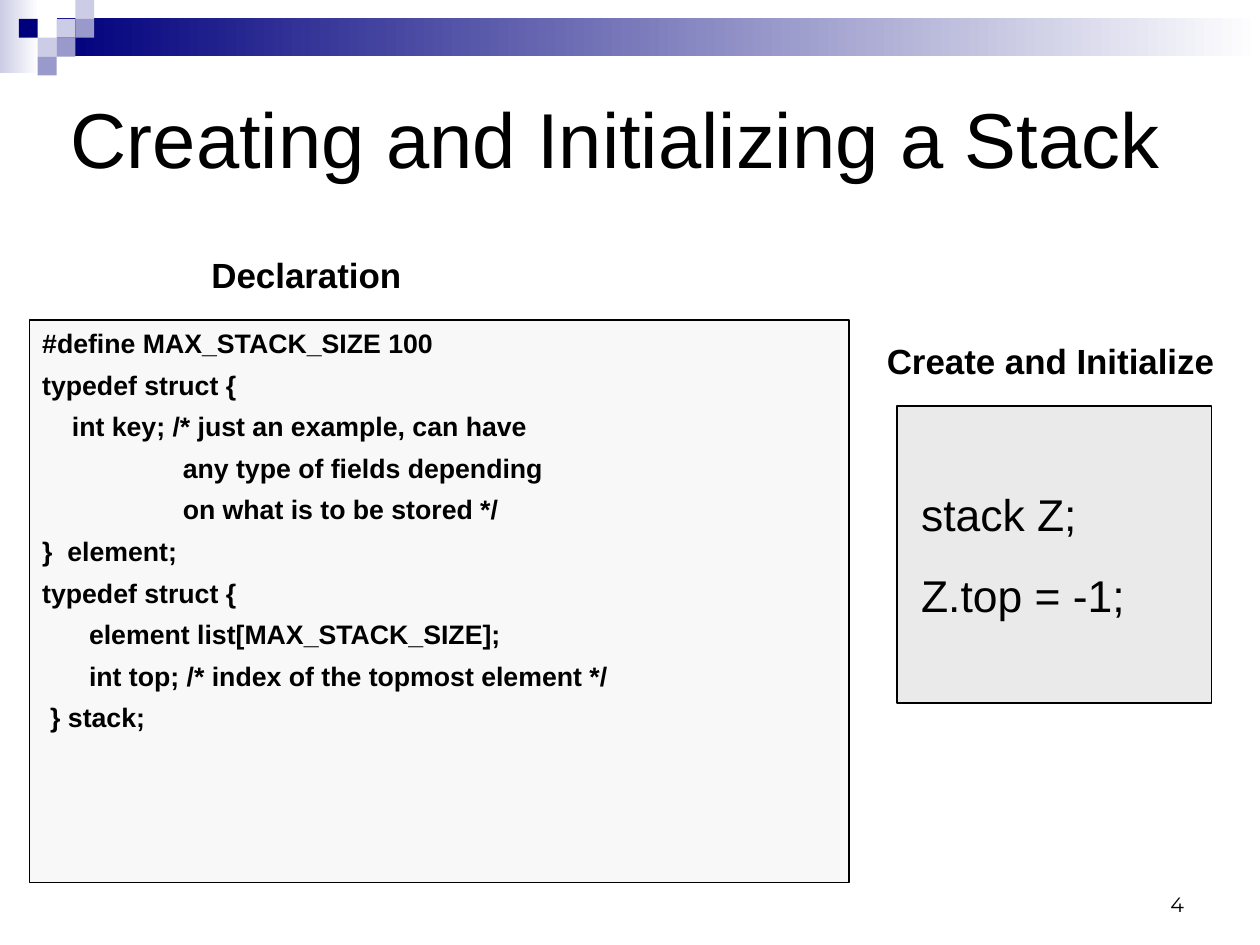
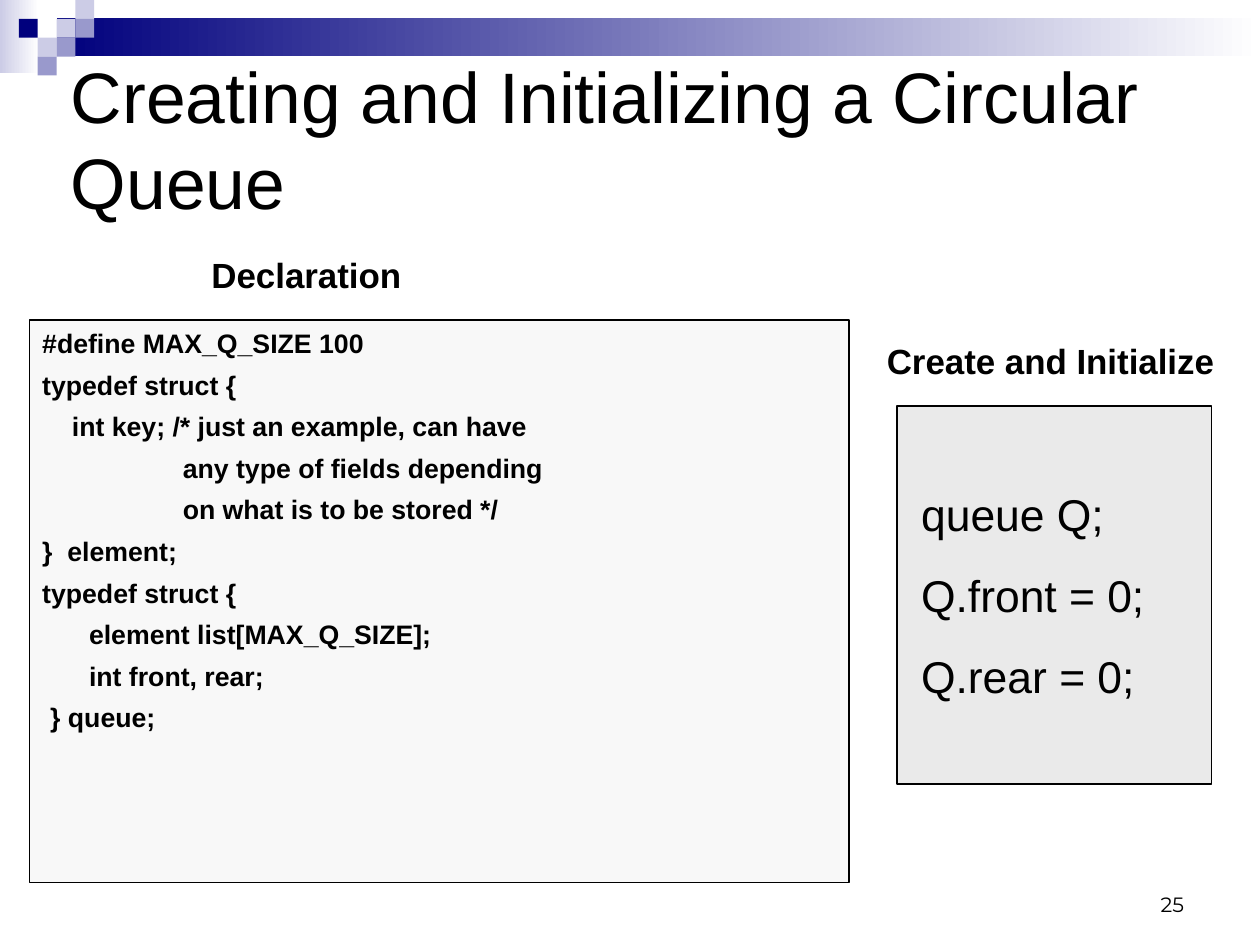
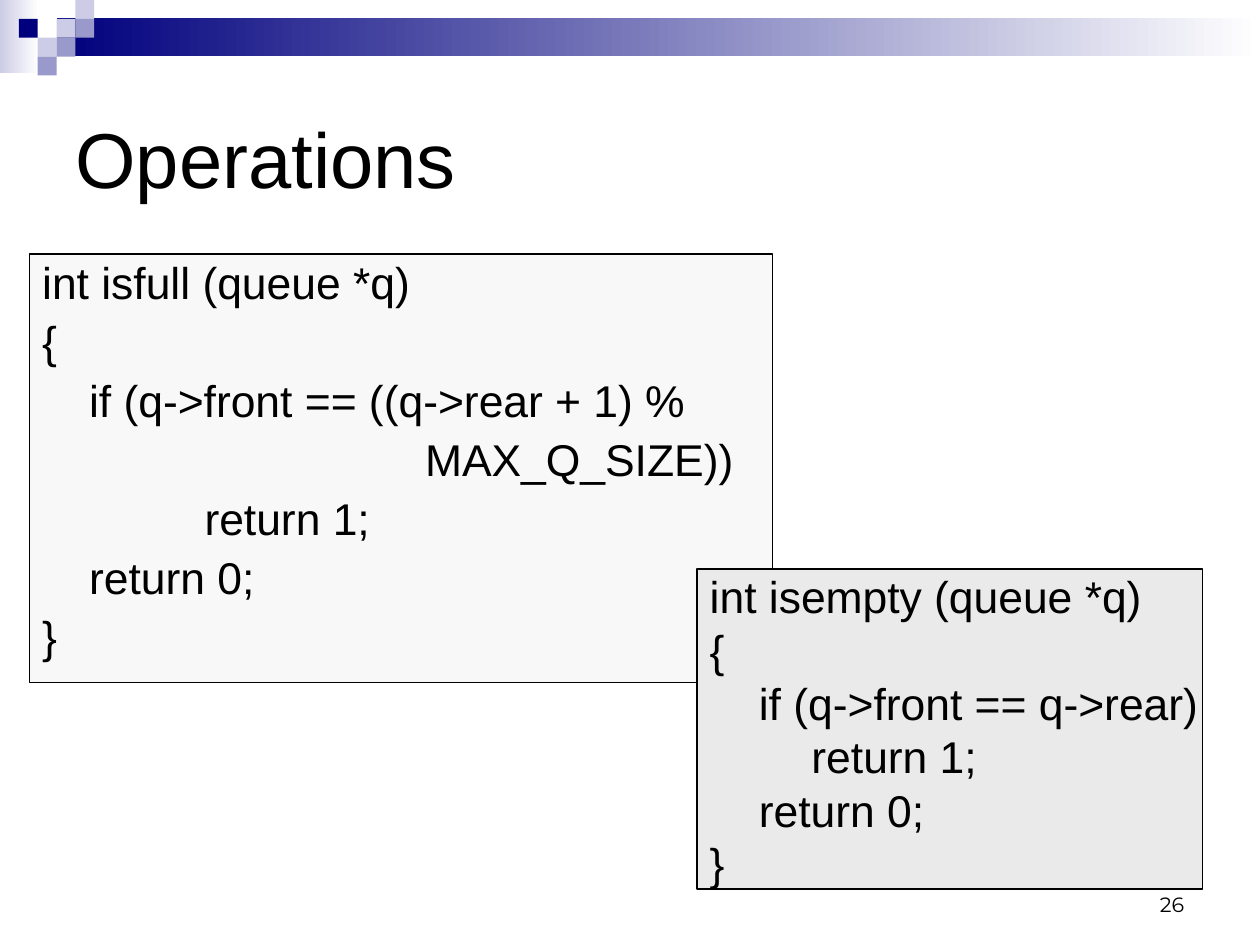
"""Three slides on stack and queue code, with a shared header band."""
import pptx
import pptx.dml.color
import pptx.enum.shapes
import pptx.enum.text
import pptx.util

Inches, Pt = pptx.util.Inches, pptx.util.Pt
RECTANGLE = pptx.enum.shapes.MSO_SHAPE.RECTANGLE
ALIGN = pptx.enum.text.PP_ALIGN
ANCHOR = pptx.enum.text.MSO_ANCHOR

BLACK, WHITE, NAVY = "000000", "FFFFFF", "00007D"
LILAC, VIOLET = "CCCCE6", "9999CC"
PALE, GREY = "F8F8F8", "EAEAEA"


def rgb(color):
    return pptx.dml.color.RGBColor.from_string(color)


def add_text(s, at, lines, size, fill=None, bold=False, font="Arial", left=0, top=0,
             before=0, spacing=1.0, align=ALIGN.LEFT, anchor=ANCHOR.TOP):
    at = [Inches(v) for v in at]
    if fill:
        sp = s.shapes.add_shape(RECTANGLE, *at)
        sp.shadow.inherit = False
        sp.fill.solid()
        sp.fill.fore_color.rgb = rgb(fill)
        sp.line.color.rgb = rgb(BLACK)
        sp.line.width = Pt(1)
    else:
        sp = s.shapes.add_textbox(*at)
    tf = sp.text_frame
    tf.word_wrap = True
    tf.vertical_anchor = anchor
    tf.margin_left, tf.margin_top = Inches(left), Inches(top)
    tf.margin_right = tf.margin_bottom = 0
    for i, (indent, text) in enumerate(lines):
        p = tf.add_paragraph() if i else tf.paragraphs[0]
        p.alignment = align
        p.line_spacing = spacing
        p.space_before = Pt(before)
        if indent:
            p._p.get_or_add_pPr().set("marL", str(Inches(indent)))
        r = p.add_run()
        r.text = text
        r.font.name, r.font.size, r.font.bold = font, Pt(size), bold
        r.font.color.rgb = rgb(BLACK)


prs = pptx.Presentation()
prs.slide_width = Pt(793.75)
prs.slide_height = Pt(595.25)
layout = prs.slide_layouts.get_by_name("Title Only")
for ph in list(layout.placeholders):
    if ph.placeholder_format.type != pptx.enum.shapes.PP_PLACEHOLDER.TITLE:
        ph.element.getparent().remove(ph.element)

slides = [
    ("Creating and Initializing a Stack", 49, (0.51, 0.38), "4"),
    ("Creating and Initializing a Circular Queue", 45, (0.51, 0.38), "25"),
    ("Operations", 49, (0.55, 0.55), "26"),
]
for title, size, (x, y), number in slides:
    s = prs.slides.add_slide(layout)
    sp = s.shapes.title
    sp.left, sp.top, sp.width, sp.height = Inches(x), Inches(y), Inches(9.92), Inches(1.65)
    tf = sp.text_frame
    tf.auto_size = pptx.enum.text.MSO_AUTO_SIZE.NONE
    tf.word_wrap = True
    tf.vertical_anchor = ANCHOR.MIDDLE
    tf.margin_left = tf.margin_right = Inches(0.11)
    tf.margin_top = tf.margin_bottom = Inches(0.06)
    p = tf.paragraphs[0]
    p.alignment = ALIGN.LEFT
    r = p.add_run()
    r.text = title
    r.font.name, r.font.size = "Arial", Pt(size)
    r.font.color.rgb = rgb(BLACK)
    add_text(s, (7.9, 7.53, 2.46, 0.49), [(0, number)], 13, font="Montserrat",
             align=ALIGN.RIGHT, anchor=ANCHOR.BOTTOM)

stack, queue, operations = prs.slides

cell = 0.66 / 4
band = [(0, 0, 0.34, 0.64, LILAC, WHITE), (0.5, 0.16, 10.53, 0.33, NAVY, WHITE)]
for column, row, color in [(3, 1, LILAC), (4, 0, LILAC), (4, 1, VIOLET), (2, 2, LILAC),
                           (1, 1, NAVY), (3, 2, VIOLET), (2, 3, VIOLET)]:
    band.append((column * cell, row * cell, cell, cell, color, None))
blocks = []
for x, y, w, h, color, fade in band:
    sp = stack.shapes.add_shape(RECTANGLE, Inches(x), Inches(y), Inches(w), Inches(h))
    sp.shadow.inherit = False
    sp.line.fill.background()
    if fade:
        sp.fill.gradient()
        sp.fill.gradient_angle = 0
        for stop, stop_color, position in zip(sp.fill.gradient_stops, (color, fade), (0, 1)):
            stop.color.rgb = rgb(stop_color)
            stop.position = position
    else:
        sp.fill.solid()
        sp.fill.fore_color.rgb = rgb(color)
    blocks.append(sp)
for sp in blocks:
    layout.shapes.element.append(sp.element)

structures = [
    (stack, "MAX_STACK_SIZE", "int top; /* index of the topmost element */", "stack",
     ["stack Z;", "Z.top = -1;"], 2.6),
    (queue, "MAX_Q_SIZE", "int front, rear;", "queue",
     ["queue Q;", "Q.front = 0;", "Q.rear = 0;"], 3.31),
]
for s, limit, fields, name, setup, height in structures:
    declaration = [
        (0, f"#define {limit} 100"),
        (0, "typedef struct {"),
        (0.26, "int key; /* just an example, can have"),
        (1.23, "any type of fields depending"),
        (1.23, "on what is to be stored */"),
        (0, "}  element;"),
        (0, "typedef struct {"),
        (0.41, f"element list[{limit}];"),
        (0.41, fields),
        (0.07, f"}} {name};"),
    ]
    add_text(s, (0.26, 2.8, 7.17, 4.92), declaration, 16.8, PALE, bold=True,
             left=0.11, top=0.06, before=6)
    add_text(s, (7.85, 3.55, 2.75, height), [(0, line) for line in setup], 28, GREY,
             left=0.21, top=0.71, before=17.5)
    add_text(s, (1.85, 2.22, 2.75, 0.37), [(0, "Declaration")], 22, bold=True)
    add_text(s, (7.76, 2.97, 3.17, 0.37), [(0, "Create and Initialize")], 22, bold=True)

isfull = [
    (0, "int isfull (queue *q)"),
    (0, "{"),
    (0.41, "if (q->front == ((q->rear + 1) %"),
    (3.35, "MAX_Q_SIZE))"),
    (1.42, "return 1;"),
    (0.41, "return 0;"),
    (0, "}"),
]
isempty = [
    (0, "int isempty (queue *q)"),
    (0, "{"),
    (0.43, "if (q->front == q->rear)"),
    (0.89, "return 1;"),
    (0.43, "return 0;"),
    (0, "}"),
]
add_text(operations, (0.26, 2.22, 6.5, 3.75), isfull, 28, PALE,
         left=0.11, top=0.06, before=7, spacing=0.9)
add_text(operations, (6.1, 4.98, 4.42, 2.8), isempty, 28, GREY, left=0.11)

prs.save("out.pptx")
